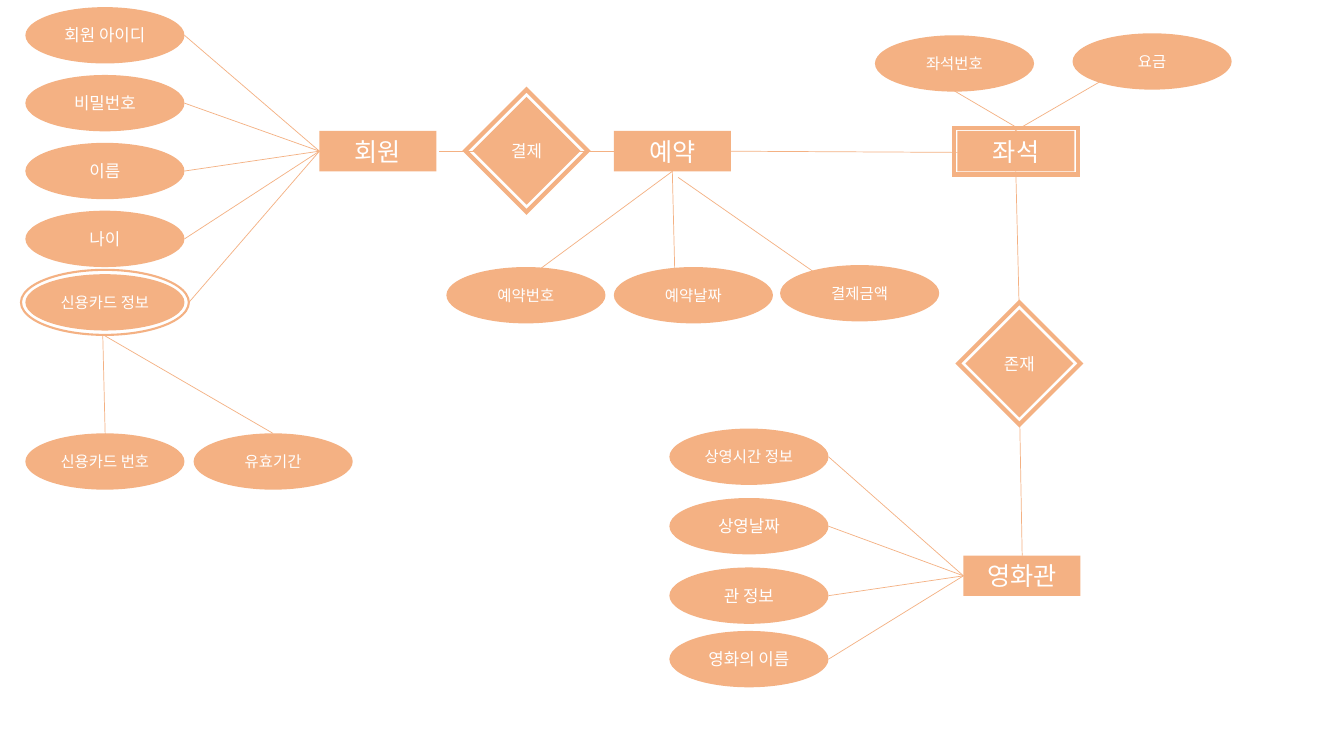
"""Draw the entity-relationship diagram of a cinema booking system."""
from dataclasses import dataclass

from lxml.etree import SubElement
from pptx import Presentation
from pptx.dml.color import RGBColor
from pptx.enum.shapes import MSO_CONNECTOR, MSO_SHAPE
from pptx.enum.text import MSO_ANCHOR, PP_ALIGN
from pptx.oxml.ns import qn
from pptx.util import Cm, Pt

COLORS = {"peach": "F4B183", "white": "FFFFFF"}
FONT = "Noto Sans CJK KR"


@dataclass(frozen=True)
class Kind:
    form: MSO_SHAPE
    width: float
    height: float
    gap: float
    weight: float


@dataclass(frozen=True)
class Node:
    text: str
    left: float
    top: float
    size: int = 12
    ring: bool = False


@dataclass(frozen=True)
class Link:
    left: float
    top: float
    right: float
    end: float


ENTITY = Kind(MSO_SHAPE.RECTANGLE, 2.95, 1.02, 0.08, 3)
ACTION = Kind(MSO_SHAPE.DIAMOND, 2.72, 2.72, 0.18, 3)
FIELD = Kind(MSO_SHAPE.OVAL, 4.01, 1.42, 0.11, 1.5)

MEMBER = [
    *(Node(text, 0.64, 0.18 + 1.71 * row)
      for row, text in enumerate(["회원 아이디", "비밀번호", "이름", "나이"])),
    Node("신용카드 정보", 0.64, 6.91, 11, True),
]
HALL = [
    Node("상영시간 정보", 16.87, 10.8, 11),
    Node("상영날짜", 16.87, 12.55),
    Node("관 정보", 16.87, 14.3),
    Node("영화의 이름", 16.87, 15.9),
]
OTHER = [
    Node("신용카드 번호", 0.64, 10.92, 11),
    Node("유효기간", 4.88, 10.92, 11),
    Node("예약번호", 11.25, 6.73, 11),
    Node("예약날짜", 15.47, 6.73, 11),
    Node("결제금액", 19.66, 6.68, 11),
    Node("좌석번호", 22.05, 0.89, 11),
    Node("요금", 27.03, 0.84, 11),
]
TABLES = [
    Node("회원", 8.05, 3.3, 18),
    Node("예약", 15.47, 3.3, 18),
    Node("좌석", 24.13, 3.3, 18, True),
    Node("영화관", 24.28, 14.0, 18),
]
ACTIONS = [
    Node("결제", 11.91, 2.44, ring=True),
    Node("존재", 24.33, 7.8, ring=True),
]
LINKS = [
    Link(11.07, 3.81, 15.47, 3.81),
    Link(18.42, 3.81, 24.13, 3.84),
    Link(25.68, 7.62, 25.6, 4.32),
    Link(25.76, 14.0, 25.7, 10.69),
    Link(2.67, 11.76, 2.59, 8.46),
    Link(6.88, 10.92, 2.64, 8.46),
    Link(25.6, 3.2, 24.05, 2.29),
    Link(25.58, 3.3, 29.08, 1.27),
    Link(12.78, 7.39, 16.94, 4.32),
    Link(17.02, 7.49, 16.94, 4.19),
    Link(21.18, 7.32, 17.09, 4.47),
]


def paint(name: str) -> RGBColor:
    return RGBColor.from_string(COLORS[name])


def write(shape, text: str, *, size: int, color: str = "white") -> None:
    frame = shape.text_frame
    frame.word_wrap = False
    frame.vertical_anchor = MSO_ANCHOR.MIDDLE
    para = frame.paragraphs[0]
    para.alignment = PP_ALIGN.CENTER
    run = para.add_run()
    run.text = text
    run.font.size = Pt(size)
    run.font.name = FONT
    run.font.color.rgb = paint(color)
    SubElement(run.font._element, qn("a:ea"), typeface=FONT)


def place(slide, kind: Kind, node: Node, grow: float = 0):
    shape = slide.shapes.add_shape(
        kind.form, Cm(node.left - grow), Cm(node.top - grow),
        Cm(kind.width + 2 * grow), Cm(kind.height + 2 * grow))
    shape.shadow.inherit = False
    return shape


def draw(slide, kind: Kind, node: Node) -> None:
    shape = place(slide, kind, node)
    shape.fill.solid()
    shape.fill.fore_color.rgb = paint("peach")
    shape.line.fill.background()
    write(shape, node.text, size=node.size)
    if node.ring:
        ring = place(slide, kind, node, kind.gap)
        ring.fill.background()
        ring.line.color.rgb = paint("peach")
        ring.line.width = Pt(kind.weight)
        SubElement(ring.line._get_or_add_ln(), qn("a:miter"), lim="800000")


def join(slide, link: Link) -> None:
    line = slide.shapes.add_connector(
        MSO_CONNECTOR.STRAIGHT, Cm(link.left), Cm(link.top),
        Cm(link.right), Cm(link.end))
    line.line.color.rgb = paint("peach")
    line.line.width = Pt(0.5)
    SubElement(line._element.spPr, qn("a:effectLst"))


def fan(slide, nodes: list[Node], table: Node) -> None:
    for node in nodes:
        edge = node.left + FIELD.width + (FIELD.gap if node.ring else 0)
        join(slide, Link(edge, node.top + FIELD.height / 2,
                         table.left, table.top + ENTITY.height / 2))


def main() -> None:
    deck = Presentation()
    deck.slide_width, deck.slide_height = Cm(33.87), Cm(19.05)
    slide = deck.slides.add_slide(deck.slide_layouts[6])
    for link in LINKS:
        join(slide, link)
    fan(slide, MEMBER, TABLES[0])
    fan(slide, HALL, TABLES[3])
    groups = [(ENTITY, TABLES), (ACTION, ACTIONS), (FIELD, MEMBER + HALL + OTHER)]
    for kind, nodes in groups:
        for node in nodes:
            draw(slide, kind, node)
    deck.save("out.pptx")


main()
